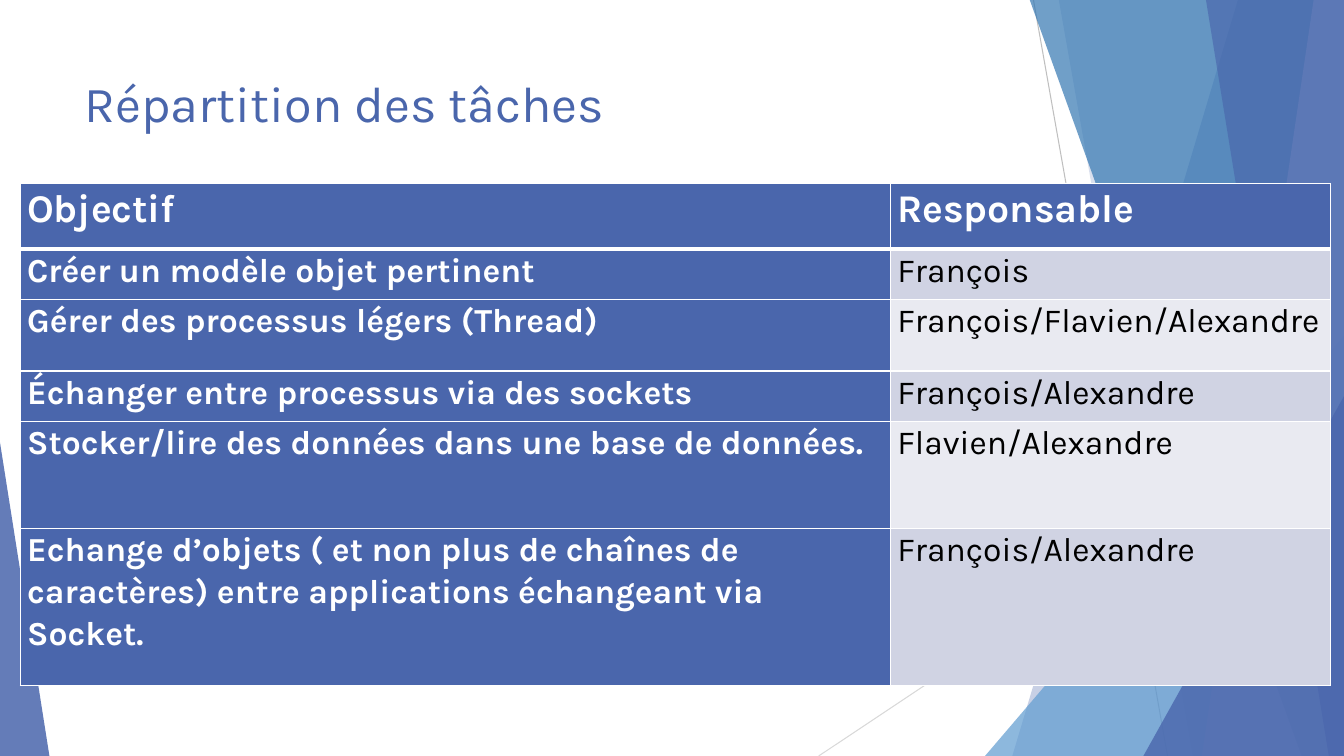
from lxml.etree import SubElement
from pptx import Presentation
from pptx.dml.color import RGBColor
from pptx.enum.shapes import MSO_CONNECTOR, MSO_SHAPE
from pptx.enum.text import MSO_ANCHOR
from pptx.oxml.ns import qn
from pptx.util import Inches, Pt

WIDTH, HEIGHT = 13.33, 7.5
TOP = -0.01  # the panels start just above the page
FONT = "Karla"
COLORS = {
    "blue": "4A66AC",
    "sky": "629DD1",
    "ocean": "3477B2",
    "lavender": "90A2CF",
    "band_dark": "D0D3E3",
    "band_light": "E9EAF1",
    "grey": "BFBFBF",
    "light_grey": "D9D9D9",
    "white": "FFFFFF",
    "black": "000000",
}

# Top-left x, bottom-left x, colour, opacity in percent
BACK_PANELS = [(12.28, 10.04, "blue", 30), (10.5, 11.83, "blue", 20)]
FRONT_PANELS = [
    (10.21, 12.91, "ocean", 70),
    (13.03, 11.92, "lavender", 70),
    (11.96, 13.18, "blue", 65),
]

COLUMN_WIDTHS = [8.63, 4.37]
ROWS = [
    (0.65, "Objectif", "Responsable"),
    (0.5, "Créer un modèle objet pertinent", "François"),
    (0.71, "Gérer des processus légers (Thread)", "François/Flavien/Alexandre"),
    (0.5, "Échanger entre processus via des sockets", "François/Alexandre"),
    (1.06, "Stocker/lire des données dans une base de données.\u00a0",
     "Flavien/Alexandre"),
    (1.56, "Echange d’objets ( et non plus de chaînes de caractères) entre "
     "applications échangeant via Socket.", "François/Alexandre"),
]


def rgb(name):
    return RGBColor.from_string(COLORS[name])


def write_text(frame, text, size, color, bold=False, spacing=None):
    frame.word_wrap = True
    para = frame.paragraphs[0]
    para.line_spacing = spacing
    span = para.add_run()
    span.text = text
    span.font.name = FONT
    span.font.size = Pt(size)
    span.font.bold = bold
    span.font.color.rgb = rgb(color)


def paint(shape, color, opacity):
    shape.shadow.inherit = False
    shape.line.fill.background()
    shape.fill.solid()
    shape.fill.fore_color.rgb = rgb(color)
    color_node = shape.fill._xPr.find(qn("a:solidFill"))[0]
    SubElement(color_node, qn("a:alpha"), val=str(opacity * 1000))


def add_line(page, start, end, color):
    points = [Inches(value) for value in start + end]
    line = page.shapes.add_connector(MSO_CONNECTOR.STRAIGHT, *points)
    line.line.color.rgb = rgb(color)
    line.line.width = Pt(0.75)
    SubElement(line._element.spPr, qn("a:effectLst"))


def add_panel(page, top_x, bottom_x, color, opacity):
    """Panel that fills the page from a slanted left edge to the right side."""
    corners = [(WIDTH, TOP), (WIDTH, HEIGHT), (bottom_x, HEIGHT)]
    builder = page.shapes.build_freeform(Inches(top_x), Inches(TOP))
    builder.add_line_segments([(Inches(x), Inches(y)) for x, y in corners])
    paint(builder.convert_to_shape(), color, opacity)


def add_triangle(page, left, top, width, apex, color, opacity):
    """Triangle standing on the bottom edge of the page."""
    shape = page.shapes.add_shape(
        MSO_SHAPE.ISOSCELES_TRIANGLE, Inches(left), Inches(top),
        Inches(width), Inches(HEIGHT - top))
    shape.adjustments[0] = apex
    paint(shape, color, opacity)


def add_title(page, text):
    box = page.shapes.add_textbox(
        Inches(0.74), Inches(0.67), Inches(9.4), Inches(1.44))
    box.text_frame.vertical_anchor = MSO_ANCHOR.TOP
    write_text(box.text_frame, text, size=36, color="blue")


def set_borders(cell, **widths):
    properties = cell._tc.get_or_add_tcPr()
    for side in "LRTB":
        width = Pt(widths.get(side, 1))
        border = SubElement(properties, qn(f"a:ln{side}"), w=str(width))
        fill = SubElement(border, qn("a:solidFill"))
        SubElement(fill, qn("a:srgbClr"), val=COLORS["white"])


def format_cell(cell, text, size, color, bold, fill, borders):
    cell.margin_left = cell.margin_right = Inches(0.07)
    cell.margin_top = cell.margin_bottom = 0
    cell.vertical_anchor = MSO_ANCHOR.TOP
    write_text(cell.text_frame, text, size, color, bold, spacing=1.07)
    set_borders(cell, **borders)
    cell.fill.solid()
    cell.fill.fore_color.rgb = rgb(fill)


def add_task_table(page):
    height = sum(row[0] for row in ROWS)
    table = page.shapes.add_table(
        len(ROWS), len(COLUMN_WIDTHS), Inches(0.2), Inches(1.82),
        Inches(sum(COLUMN_WIDTHS)), Inches(height)).table
    for column, width in zip(table.columns, COLUMN_WIDTHS):
        column.width = Inches(width)
    for index, (row_height, *texts) in enumerate(ROWS):
        table.rows[index].height = Inches(row_height)
        header = index == 0
        borders = {"B": 3} if header else {"T": 3} if index == 1 else {}
        band = "band_dark" if index % 2 else "band_light"
        for column, text in enumerate(texts):
            strong = header or column == 0
            format_cell(
                table.cell(index, column), text,
                size=28 if header else 24,
                color="white" if strong else "black",
                bold=strong,
                fill="blue" if strong else band,
                borders=borders)


def main():
    deck = Presentation()
    deck.slide_width, deck.slide_height = Inches(WIDTH), Inches(HEIGHT)
    page = deck.slides.add_slide(deck.slide_layouts[6])

    # Faceted decoration, from back to front
    add_line(page, (10.25, 0), (11.58, HEIGHT), "grey")
    add_line(page, (WIDTH, 4.03), (8.12, HEIGHT), "light_grey")
    for panel in BACK_PANELS:
        add_panel(page, *panel)
    add_triangle(page, 9.77, 3.33, 3.56, 1, "sky", 72)
    for panel in FRONT_PANELS:
        add_panel(page, *panel)
    add_triangle(page, 11.34, 3.93, 1.99, 1, "blue", 80)
    add_triangle(page, 0, 4.39, 0.49, 0, "blue", 85)

    # Content
    add_title(page, "Répartition des tâches")
    add_task_table(page)

    deck.save("out.pptx")


main()
